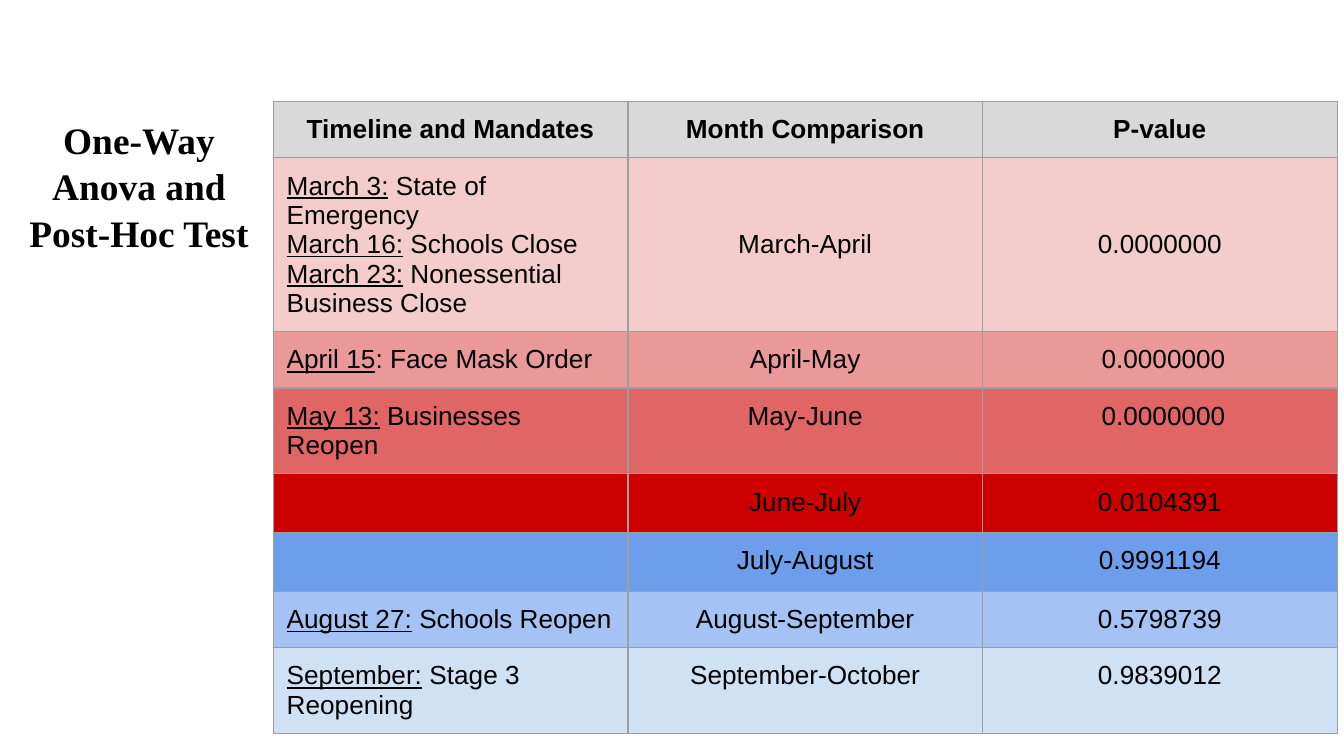
from lxml import etree
from pptx import Presentation
from pptx.dml.color import RGBColor
from pptx.enum import text
from pptx.oxml import ns
from pptx.util import Pt

INSET = Pt(7.2)
BLACK, BORDER, HEADER_FILL = "000000", "9E9E9E", "D9D9D9"
HEADINGS = ["Timeline and Mandates", "Month Comparison", "P-value"]

# Each row: fill, height, mandates as (date, event), months, p-value
COMPARISONS = [
    ("F4CCCC", 93.2, [("March 3:", " State of Emergency"),
                      ("March 16:", " Schools Close"),
                      ("March 23:", " Nonessential Business Close")],
     "March-April", "0.0000000"),
    ("EA9999", 30, [("April 15", ": Face Mask Order")], "April-May", " 0.0000000"),
    ("E06666", 46, [("May 13:", " Businesses Reopen")], "May-June", " 0.0000000"),
    ("CC0000", 30, [], "June-July", "0.0104391"),
    ("6D9EEB", 30, [], "July-August", "0.9991194"),
    ("A4C2F4", 30, [("August 27:", " Schools Reopen")], "August-September", "0.5798739"),
    ("CFE2F3", 46, [("September:", " Stage 3 Reopening")], "September-October", "0.9839012"),
]


def colour(hex_code):
    return RGBColor.from_string(hex_code)


def add_run(paragraph, words, size=14, face="Arial", bold=False, underline=False):
    run = paragraph.add_run()
    run.text = words
    font = run.font
    font.size, font.name, font.bold, font.underline = Pt(size), face, bold, underline
    font.color.rgb = colour(BLACK)


def set_insets(target):
    target.margin_left = target.margin_right = INSET
    target.margin_top = target.margin_bottom = INSET


def format_cell(cell, fill):
    set_insets(cell)
    properties = cell._tc.get_or_add_tcPr()
    # Borders come before the fill in the cell properties
    for side in ("a:lnL", "a:lnR", "a:lnT", "a:lnB"):
        line = etree.SubElement(properties, ns.qn(side), w=str(Pt(0.75)))
        solid = etree.SubElement(line, ns.qn("a:solidFill"))
        etree.SubElement(solid, ns.qn("a:srgbClr"), val=BORDER)
    cell.fill.solid()
    cell.fill.fore_color.rgb = colour(fill)


def fill_centred(cell, words, bold=False):
    paragraph = cell.text_frame.paragraphs[0]
    paragraph.alignment = text.PP_ALIGN.CENTER
    add_run(paragraph, words, bold=bold)


def fill_mandates(cell, mandates):
    frame = cell.text_frame
    if not mandates:
        # Keeps the empty cell from stretching its row
        etree.SubElement(frame.paragraphs[0]._p, ns.qn("a:endParaRPr"), sz="1400")
    for index, (date, event) in enumerate(mandates):
        paragraph = frame.add_paragraph() if index else frame.paragraphs[0]
        add_run(paragraph, date, underline=True)
        add_run(paragraph, event)


def place_title(slide, left, top, width, height):
    title = slide.shapes.title
    title.left, title.top, title.width, title.height = left, top, width, height
    frame = title.text_frame
    frame.word_wrap = True
    frame.auto_size = text.MSO_AUTO_SIZE.NONE
    frame.vertical_anchor = text.MSO_ANCHOR.TOP
    set_insets(frame)
    for index, words in enumerate(["One-Way Anova and", "Post-Hoc Test"]):
        paragraph = frame.add_paragraph() if index else frame.paragraphs[0]
        paragraph.alignment = text.PP_ALIGN.CENTER
        paragraph.line_spacing = 1.04
        paragraph.space_before = Pt(0)
        add_run(paragraph, words, 20, "Times New Roman", bold=True)


def place_results(slide, left, top, width):
    heights = [30] + [row[1] for row in COMPARISONS]
    results = slide.shapes.add_table(
        len(heights), len(HEADINGS), left, top, width, Pt(sum(heights))).table
    results.first_row = results.horz_banding = False
    for row, height in zip(results.rows, heights):
        row.height = Pt(height)

    # Header row
    for column, heading in enumerate(HEADINGS):
        cell = results.cell(0, column)
        format_cell(cell, HEADER_FILL)
        fill_centred(cell, heading, bold=True)

    # Comparison rows
    for index, (fill, _, mandates, months, p_value) in enumerate(COMPARISONS, 1):
        cells = [results.cell(index, column) for column in range(len(HEADINGS))]
        for cell in cells:
            format_cell(cell, fill)
        fill_mandates(cells[0], mandates)
        for cell, words in zip(cells[1:], (months, p_value)):
            fill_centred(cell, words)
            if len(mandates) > 1:
                cell.vertical_anchor = text.MSO_ANCHOR.MIDDLE


def main():
    deck = Presentation()
    deck.slide_width, deck.slide_height = Pt(720), Pt(405)
    slide = deck.slides.add_slide(deck.slide_layouts[5])
    place_results(slide, Pt(146.4), Pt(54.4), Pt(570))
    place_title(slide, Pt(0), Pt(54.4), Pt(149), Pt(104.4))
    deck.save("out.pptx")


if __name__ == "__main__":
    main()
